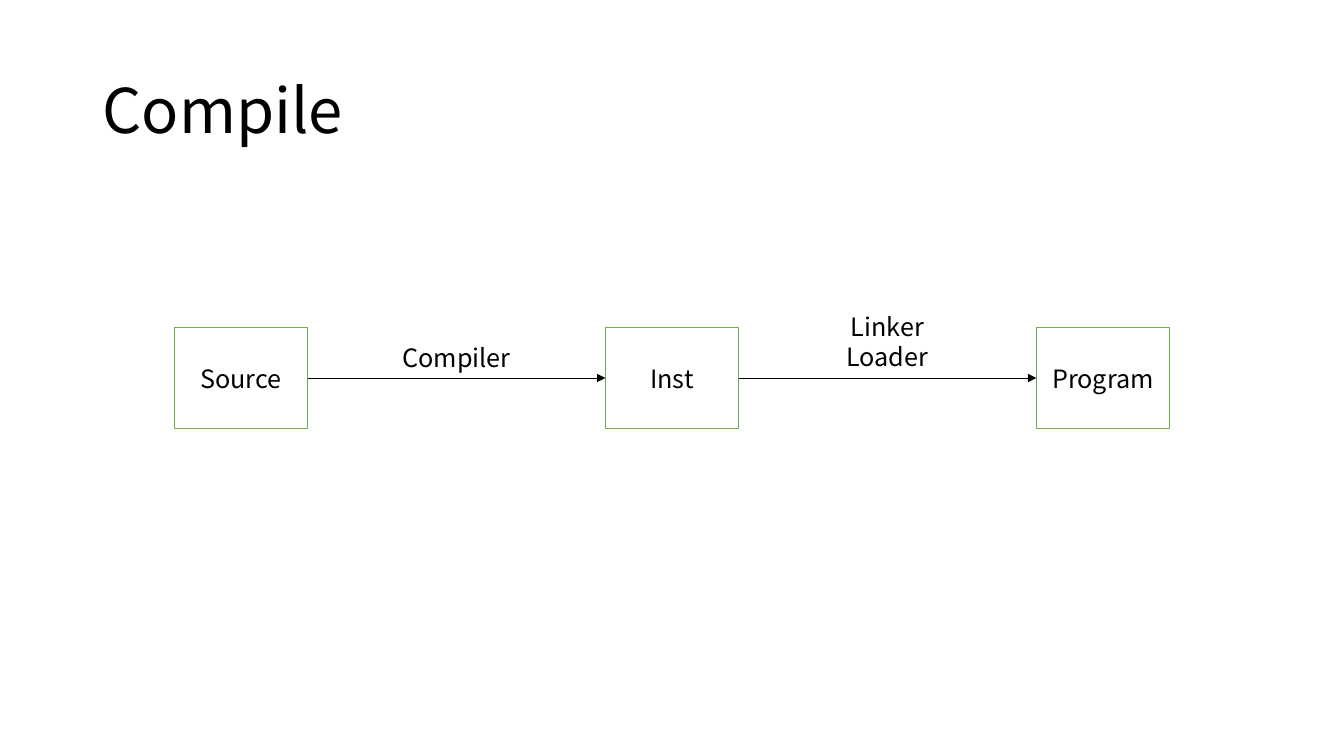
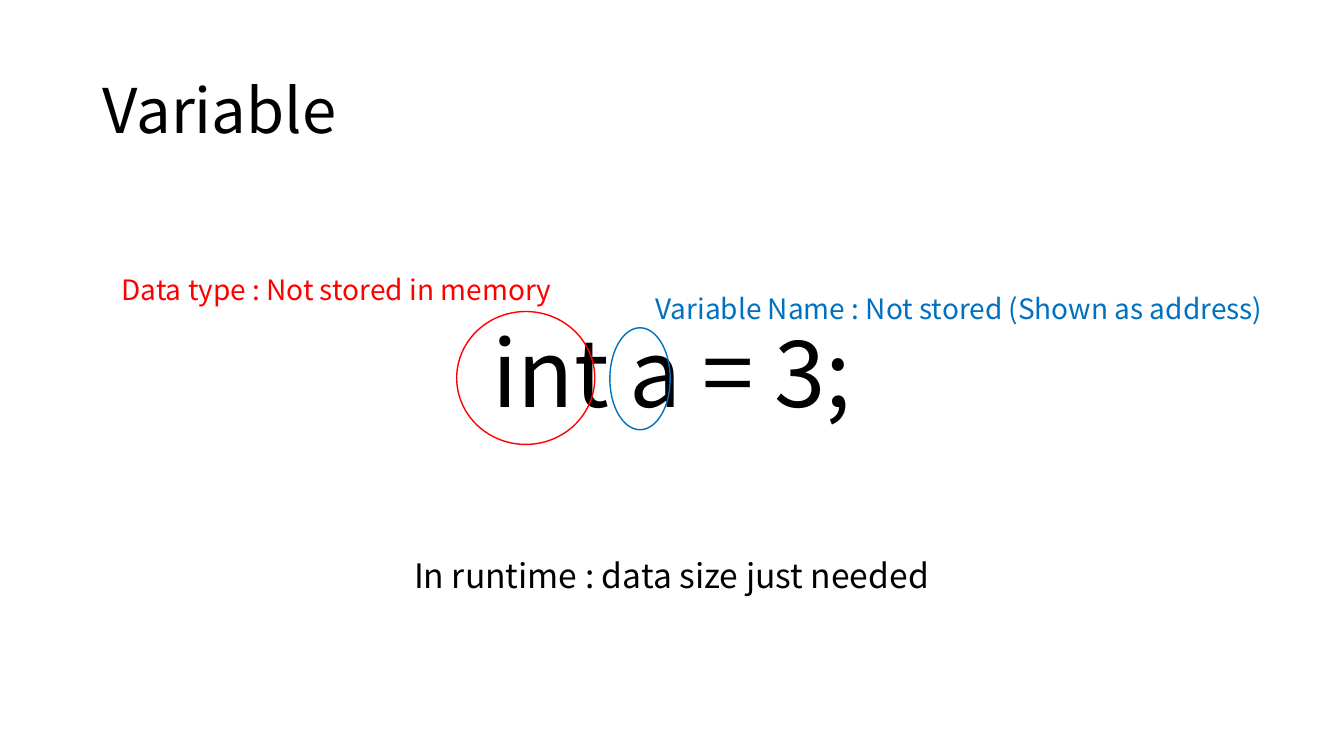
from dataclasses import dataclass

import pptx
import pptx.dml.color
import pptx.enum.shapes
import pptx.enum.text
import pptx.oxml.ns
import pptx.oxml.xmlchemy
import pptx.util
from lxml import etree

Cm = pptx.util.Cm
Align = pptx.enum.text.PP_ALIGN
Shape = pptx.enum.shapes.MSO_SHAPE
qn = pptx.oxml.ns.qn

# Shared look
FONT = "Noto Sans CJK KR"
BLACK, WHITE = "000000", "FFFFFF"
GREEN, RED, BLUE = "70AD47", "FF0000", "0070C0"
PAGE_WIDTH, PAGE_HEIGHT = 33.87, 19.05
TITLE_ONLY, TITLE_AND_BODY = 5, 1

# Flow diagram grid, in centimetres
BOX_WIDTH, BOX_HEIGHT, BOX_STEP = 3.36, 2.54, 10.86
LABEL_WIDTH = 4.06
RIGHT_SIDE, LEFT_SIDE = 3, 1


@dataclass(frozen=True)
class Area:
    left: float
    top: float
    width: float
    height: float

    def lengths(self) -> tuple:
        return Cm(self.left), Cm(self.top), Cm(self.width), Cm(self.height)


@dataclass(frozen=True)
class Label:
    area: Area
    lines: tuple[str, ...]
    size: int
    color: str = BLACK


@dataclass(frozen=True)
class Ring:
    area: Area
    color: str


@dataclass(frozen=True)
class Step:
    lines: tuple[str, ...]
    height: float


TITLE_AREA = Area(2.33, 1.01, 29.21, 3.68)

STAGES = ("Source", "Inst", "Program")
STEPS = (Step(("Compiler",), 1.02), Step(("Linker", "Loader"), 1.8))

CODE = Label(Area(9.91, 7.85, 14.05, 3.35), ("int a = 3;",), 66)
RINGS = (
    Ring(Area(11.51, 7.85, 3.48, 3.35), RED),
    Ring(Area(15.37, 8.26, 1.52, 2.57), BLUE),
)
NOTES = (
    Label(Area(2.13, 6.73, 12.7, 1.12), ("Data type : Not stored in memory",), 20, RED),
    Label(Area(16.03, 7.21, 16.28, 1.12),
          ("Variable Name : Not stored (Shown as address)",), 20, BLUE),
    Label(Area(6.93, 13.87, 19.99, 1.27), ("In runtime : data size just needed",), 24),
)


def rgb(color: str) -> pptx.dml.color.RGBColor:
    return pptx.dml.color.RGBColor.from_string(color)


def style_paragraph(para, size: int, color: str = BLACK, align=Align.CENTER) -> None:
    para.alignment = align
    para.font.name = FONT
    para.font.size = pptx.util.Pt(size)
    para.font.color.rgb = rgb(color)


def fill_placeholder(holder, area: Area, text: str):
    """Place a template placeholder and return its only paragraph."""
    holder.left, holder.top, holder.width, holder.height = area.lengths()
    frame = holder.text_frame
    frame.text = text
    frame.auto_size = pptx.enum.text.MSO_AUTO_SIZE.NONE
    frame.vertical_anchor = pptx.enum.text.MSO_ANCHOR.MIDDLE
    para = frame.paragraphs[0]
    para.line_spacing = 0.9
    return para


def add_page(deck, layout: int, title: str):
    page = deck.slides.add_slide(deck.slide_layouts[layout])
    para = fill_placeholder(page.shapes.title, TITLE_AREA, title)
    style_paragraph(para, 44, align=Align.LEFT)
    return page


def add_body(page, label: Label) -> None:
    """Put unbulleted, centred text in the body placeholder."""
    para = fill_placeholder(page.placeholders[1], label.area, label.lines[0])
    para.space_before = pptx.util.Pt(10)
    properties = para._p.get_or_add_pPr()
    properties.set("marL", "0")
    properties.set("indent", "0")
    etree.SubElement(properties, qn("a:buNone"))
    style_paragraph(para, label.size, label.color)


def add_label(page, label: Label) -> None:
    frame = page.shapes.add_textbox(*label.area.lengths()).text_frame
    frame.word_wrap = True
    frame.auto_size = pptx.enum.text.MSO_AUTO_SIZE.SHAPE_TO_FIT_TEXT
    frame.text = "\n".join(label.lines)
    for para in frame.paragraphs:
        style_paragraph(para, label.size, label.color)


def add_outline(page, kind, area: Area, color: str):
    shape = page.shapes.add_shape(kind, *area.lengths())
    shape.shadow.inherit = False
    shape.fill.background()
    shape.line.color.rgb = rgb(color)
    shape.line.width = pptx.util.Pt(1)
    return shape


def add_stage(page, area: Area, text: str):
    box = add_outline(page, Shape.RECTANGLE, area, GREEN)
    box.fill.solid()
    box.fill.fore_color.rgb = rgb(WHITE)
    box.text_frame.text = text
    box.text_frame.vertical_anchor = pptx.enum.text.MSO_ANCHOR.MIDDLE
    style_paragraph(box.text_frame.paragraphs[0], 18)
    return box


def add_arrow(page, source, target) -> None:
    arrow = page.shapes.add_connector(
        pptx.enum.shapes.MSO_CONNECTOR.STRAIGHT, 0, 0, 0, 0)
    arrow.begin_connect(source, RIGHT_SIDE)
    arrow.end_connect(target, LEFT_SIDE)
    arrow.line.color.rgb = rgb(BLACK)
    arrow.line.width = pptx.util.Pt(0.5)
    etree.SubElement(arrow.line._get_or_add_ln(), qn("a:tailEnd"), type="triangle")
    etree.SubElement(arrow._element.spPr, qn("a:effectLst"))


def build_compile(deck) -> None:
    page = add_page(deck, TITLE_ONLY, "Compile")
    middle = PAGE_HEIGHT / 2

    # Stages, spread evenly around the page centre
    centers = [PAGE_WIDTH / 2 + (index - 1) * BOX_STEP for index in range(len(STAGES))]
    boxes = [
        add_stage(page, Area(center - BOX_WIDTH / 2, middle - BOX_HEIGHT / 2,
                             BOX_WIDTH, BOX_HEIGHT), text)
        for center, text in zip(centers, STAGES)
    ]

    # Arrows, each with a label resting on it
    for source, target in zip(boxes, boxes[1:]):
        add_arrow(page, source, target)
    for center, step in zip(centers, STEPS):
        left = center + (BOX_STEP - LABEL_WIDTH) / 2
        area = Area(left, middle - step.height, LABEL_WIDTH, step.height)
        add_label(page, Label(area, step.lines, 18))


def build_variable(deck) -> None:
    page = add_page(deck, TITLE_AND_BODY, "Variable")
    add_body(page, CODE)
    for ring in RINGS:
        add_outline(page, Shape.OVAL, ring.area, ring.color)
    for note in NOTES:
        add_label(page, note)


def main() -> None:
    deck = pptx.Presentation()
    deck.slide_width, deck.slide_height = Cm(PAGE_WIDTH), Cm(PAGE_HEIGHT)
    build_compile(deck)
    build_variable(deck)
    deck.save("out.pptx")


if __name__ == "__main__":
    main()
